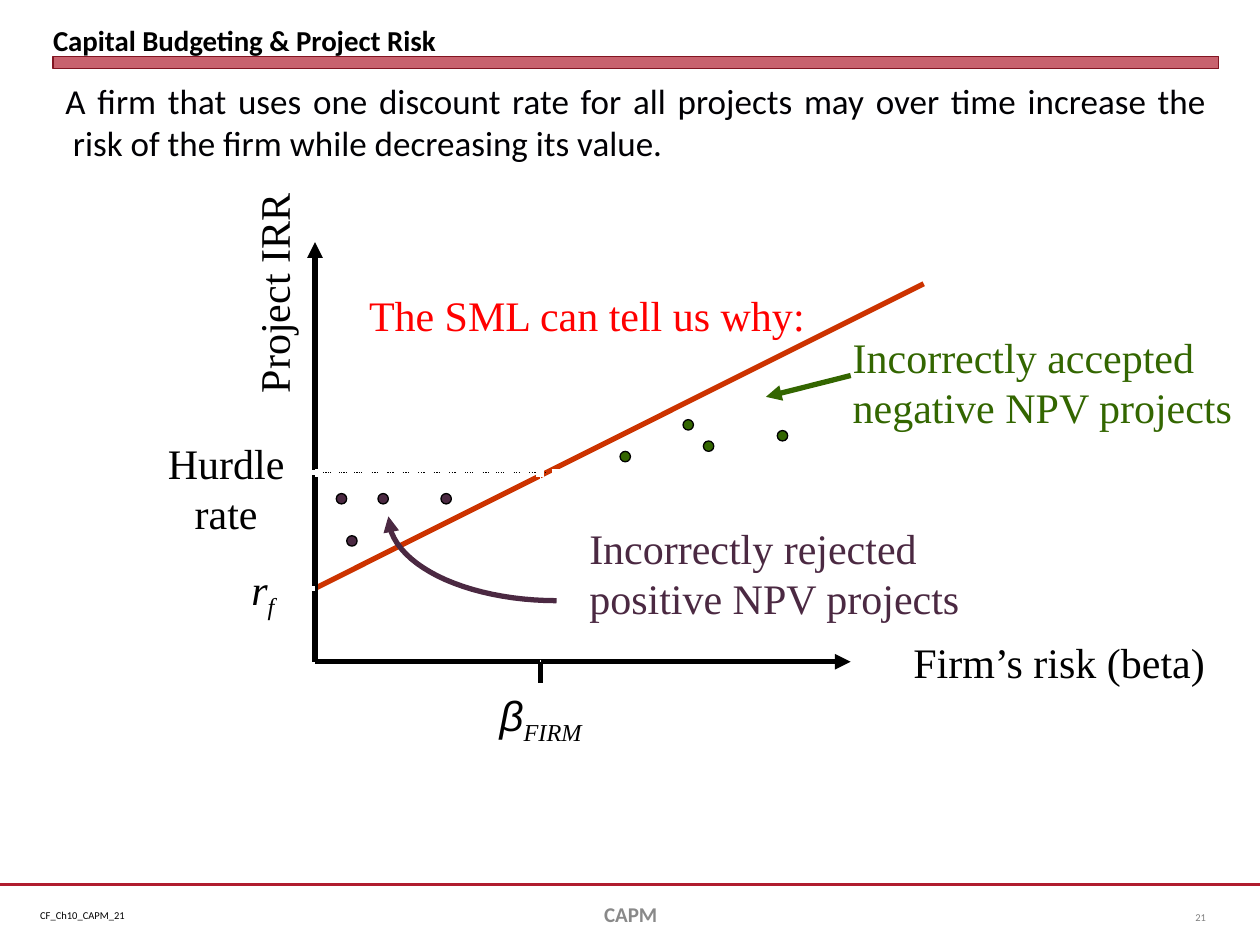
"""Build the slide on capital budgeting and project risk."""
import math

from lxml import etree
from pptx import Presentation, util as u
from pptx.dml import color
from pptx.enum import dml, shapes, text
from pptx.oxml import ns

SERIF, SANS = "Times New Roman", "Calibri"
BLACK, WHITE, GREEN, PURPLE, CRIMSON = "000000", "FFFFFF", "336600", "4B2942", "B01C2E"
LEFT, CENTER, RIGHT = text.PP_ALIGN.LEFT, text.PP_ALIGN.CENTER, text.PP_ALIGN.RIGHT
TOP, MIDDLE, BOTTOM = text.MSO_ANCHOR.TOP, text.MSO_ANCHOR.MIDDLE, text.MSO_ANCHOR.BOTTOM

AXIS_X, AXIS_Y, HURDLE_Y, RISK_FREE_Y, FIRM_X = 6.35, 13.34, 9.53, 11.86, 10.9
DOT_SIZE = 0.21

TITLE = ("Capital Budgeting & Project Risk", (1.07, 0.13, 23.5, 1.02))
BODY = ("A firm that uses one discount rate for all projects may over time "
        "increase the risk of the firm while decreasing its value.", (1.07, 1.47, 23.5, 16.15))
FOOTERS = [
    ("CF_Ch10_CAPM_21", (0.56, 18.19, 2.24, 0.51), 6, BLACK, LEFT, TOP, False),
    ("CAPM", (8.69, 17.91, 8.05, 1.02), 12, "898989", CENTER, MIDDLE, True),
    ("21", (23.29, 17.98, 1.27, 1.02), 6, "808080", RIGHT, MIDDLE, False),
]
LABELS = [
    ("Firm’s risk (beta)", (13.54, 12.7, 11, 1.27), BLACK, RIGHT),
    ("Incorrectly rejected positive NPV projects", (11.63, 10.41, 8.69, 2.29), PURPLE, LEFT),
    ("Incorrectly accepted negative NPV projects", (16.94, 6.55, 8.46, 2.29), GREEN, LEFT),
    ("Hurdle rate", (2.97, 8.69, 3.18, 2.29), BLACK, CENTER),
    ("The SML can tell us why:", (7.19, 5.72, 10.16, 1.27), "FF0000", LEFT),
]
SYMBOLS = [
    ("r", SERIF, "f", (4.45, 11.23, 1.7, 1.27)),
    ("β", "Arial", "FIRM", (9.73, 13.77, 2.34, 1.27)),
]
LINES = [
    ((0, 17.83), (25.4, 17.83), CRIMSON, 1.25, False, False),
    ((AXIS_X, AXIS_Y), (17.15, AXIS_Y), BLACK, 3, False, True),
    ((AXIS_X, RISK_FREE_Y), (18.62, 5.72), "CC3300", 3, False, False),
    ((AXIS_X, AXIS_Y), (AXIS_X, 4.88), BLACK, 3, False, True),
    ((AXIS_X, RISK_FREE_Y), (5.92, RISK_FREE_Y), WHITE, 3, False, False),
    ((6.43, HURDLE_Y), (5.99, HURDLE_Y), WHITE, 3, False, False),
    ((FIRM_X, AXIS_Y), (FIRM_X, 13.77), BLACK, 3, False, False),
    ((FIRM_X, AXIS_Y), (FIRM_X, HURDLE_Y), WHITE, 0.75, True, False),
    ((17.15, 7.57), (15.44, 8), GREEN, 3, False, True),
    ((AXIS_X, HURDLE_Y), (11, HURDLE_Y), BLACK, 0.75, True, False),
    ((AXIS_X, HURDLE_Y), (14.4, HURDLE_Y), WHITE, 4.5, True, False),
]
PROJECTS = {
    GREEN: [(13.77, 8.46), (14.18, 8.89), (12.5, 9.1), (15.67, 8.68)],
    PURPLE: [(7.62, 9.95), (6.78, 9.95), (6.99, 10.8), (8.89, 9.95)],
}
CURVE_CENTER, CURVE_RADII, CURVE_STEPS = (11.22, 10.41), (3.39, 1.7), 24


def rgb(value):
    return color.RGBColor.from_string(value)


def style_line(line, tint, width, dotted=False, arrow=False):
    line.color.rgb = rgb(tint)
    line.width = u.Pt(width)
    if dotted:
        line.dash_style = dml.MSO_LINE.ROUND_DOT
    if arrow:
        etree.SubElement(line._get_or_add_ln(), ns.qn("a:tailEnd"), type="triangle")


def add_line(page, start, end, *style):
    line = page.shapes.add_connector(
        shapes.MSO_CONNECTOR.STRAIGHT, *(u.Cm(n) for n in start + end))
    style_line(line.line, *style)
    etree.SubElement(line._element.spPr, ns.qn("a:effectLst"))


def add_shape(page, kind, place, fill, edge, width):
    shape = page.shapes.add_shape(kind, *(u.Cm(n) for n in place))
    shape.shadow.inherit = False
    shape.fill.solid()
    shape.fill.fore_color.rgb = rgb(fill)
    style_line(shape.line, edge, width)
    return shape


def add_text(page, words, place, size=24, tint=BLACK, align=LEFT, anchor=TOP,
             bold=False, font=SERIF):
    box = page.shapes.add_textbox(*(u.Cm(n) for n in place))
    frame = box.text_frame
    frame.text = words
    frame.word_wrap = True
    frame.vertical_anchor = anchor
    para = frame.paragraphs[0]
    para.alignment = align
    format_span(para.runs[0], font, size, tint, bold)
    return box


def format_span(span, font, size, tint, bold=False, italic=False):
    span.font.name, span.font.size = font, u.Pt(size)
    span.font.bold, span.font.italic = bold, italic
    span.font.color.rgb = rgb(tint)


def add_symbol(page, letter, font, subscript, place):
    para = add_text(page, letter, place, align=CENTER, font=font).text_frame.paragraphs[0]
    para.runs[0].font.italic = True
    span = para.add_run()
    span.text = subscript
    format_span(span, SERIF, 24, BLACK, italic=True)
    span._r.get_or_add_rPr().set("baseline", "-25000")


def add_curved_arrow(page):
    angles = [math.pi / 2 * (1 + step / CURVE_STEPS) for step in range(CURVE_STEPS + 1)]
    points = [(u.Cm(CURVE_CENTER[0] + CURVE_RADII[0] * math.cos(angle)),
               u.Cm(CURVE_CENTER[1] + CURVE_RADII[1] * math.sin(angle))) for angle in angles]
    builder = page.shapes.build_freeform(*points[0])
    builder.add_line_segments(points[1:], close=False)
    curve = builder.convert_to_shape()
    curve.shadow.inherit = False
    curve.fill.background()
    style_line(curve.line, PURPLE, 3, arrow=True)


def add_heading(page):
    bar = add_shape(page, shapes.MSO_SHAPE.RECTANGLE, (1.07, 1.14, 23.5, 0.25),
                    CRIMSON, "821522", 0)
    tint = bar._element.spPr.find(ns.qn("a:solidFill"))[0]
    etree.SubElement(tint, ns.qn("a:alpha"), val="69000")
    frame = add_text(page, *TITLE, 16.5, anchor=BOTTOM, bold=True, font=SANS).text_frame
    frame.margin_left = frame.margin_right = frame.margin_top = frame.margin_bottom = 0
    body = add_text(page, *BODY, 20, "010004", text.PP_ALIGN.JUSTIFY, font=SANS)
    layout = body.text_frame.paragraphs[0]._p.get_or_add_pPr()
    layout.set("marL", str(u.Cm(0.15)))
    layout.set("indent", str(-u.Cm(0.15)))


def main():
    deck = Presentation()
    deck.slide_width, deck.slide_height = u.Cm(25.4), u.Cm(19.05)
    page = deck.slides.add_slide(deck.slide_layouts[6])
    add_heading(page)
    for line in LINES:
        add_line(page, *line)
    for tint, spots in PROJECTS.items():
        for spot in spots:
            add_shape(page, shapes.MSO_SHAPE.OVAL, spot + (DOT_SIZE, DOT_SIZE),
                      tint, BLACK, 0.75)
    add_curved_arrow(page)
    for words, place, tint, align in LABELS:
        add_text(page, words, place, tint=tint, align=align)
    add_text(page, "Project IRR", (2.97, 5.56, 5.08, 1.27), align=RIGHT).rotation = 270
    for symbol in SYMBOLS:
        add_symbol(page, *symbol)
    for footer in FOOTERS:
        add_text(page, *footer, font=SANS)
    deck.save("out.pptx")


if __name__ == "__main__":
    main()
